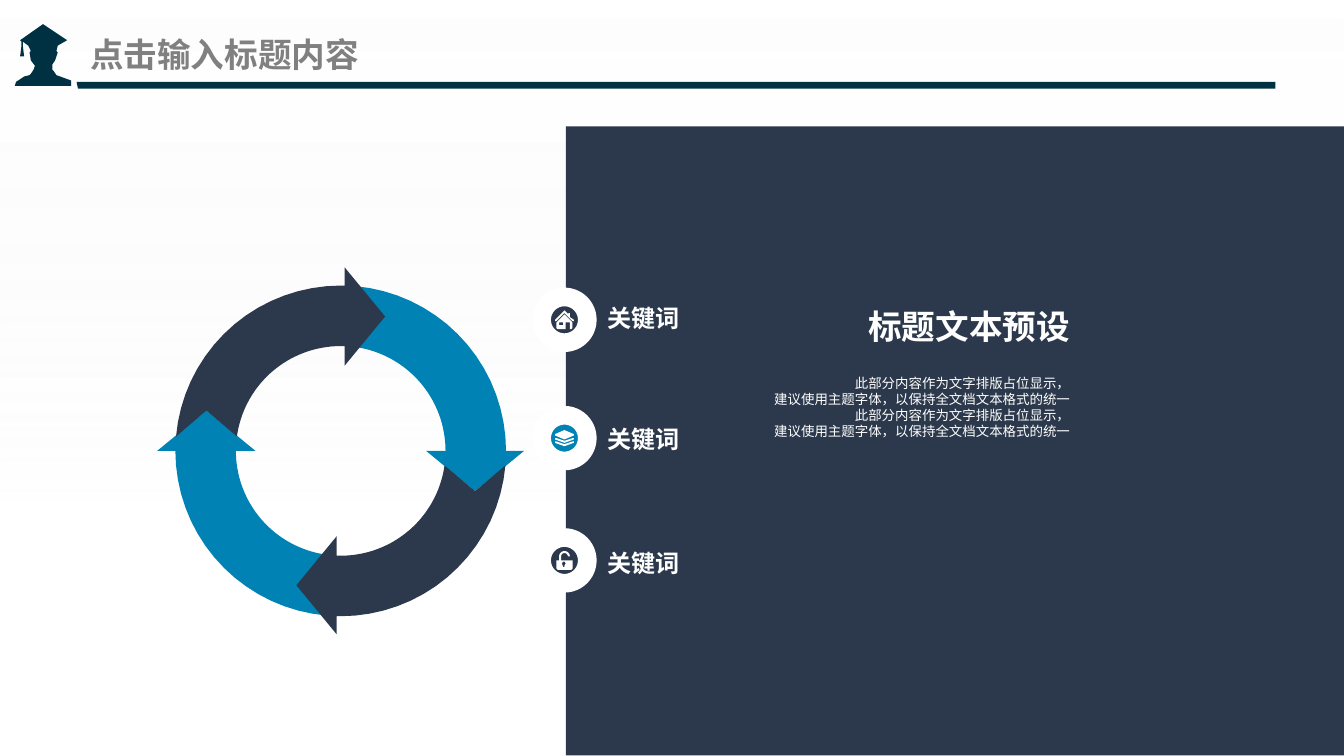
from math import cos, radians, sin

from lxml.etree import SubElement
from pptx import Presentation
from pptx.dml.color import RGBColor
from pptx.enum.shapes import MSO_SHAPE as Preset
from pptx.enum.text import MSO_ANCHOR as Anchor, MSO_AUTO_SIZE as AutoSize, PP_ALIGN as Align
from pptx.oxml.ns import qn
from pptx.util import Inches, Pt

NAVY = RGBColor(0x2C, 0x39, 0x4C)
BLUE = RGBColor(0x00, 0x83, 0xB4)
TEAL = RGBColor(0x00, 0x31, 0x42)
GRAY = RGBColor(0x80, 0x80, 0x80)
PALE = RGBColor(0xF2, 0xF2, 0xF2)
WHITE = RGBColor(0xFF, 0xFF, 0xFF)
CJK_FONT = "Noto Sans CJK SC"

presentation = Presentation()
presentation.slide_width = Inches(10)
presentation.slide_height = Inches(5.625)
slide = presentation.slides.add_slide(presentation.slide_layouts[5])
shapes = slide.shapes


def draw_outline(contours, color):
    builder = None
    for contour in contours:
        points = [(Inches(x), Inches(y)) for x, y in contour]
        if builder is None:
            builder = shapes.build_freeform(*points[0], scale=1.0)
        else:
            builder.move_to(*points[0])
        builder.add_line_segments(points[1:], close=True)
    shape = builder.convert_to_shape()
    shape.shadow.inherit = False
    shape.fill.solid()
    shape.fill.fore_color.rgb = color
    shape.line.fill.background()


def add_run(paragraph, text, size, color, bold=False, font_name="Arial"):
    run = paragraph.add_run()
    run.text = text
    font = run.font
    font.size = Pt(size)
    font.bold = bold
    font.color.rgb = color
    font.name = font_name
    SubElement(run._r.get_or_add_rPr(), qn("a:ea"), typeface=CJK_FONT)


background = shapes.add_shape(Preset.RECTANGLE, 0, 0, Inches(10), Inches(5.625))
background.shadow.inherit = False
background.line.fill.background()
background.fill.gradient()
background.fill.gradient_angle = 270
for stop, position, color in zip(background.fill.gradient_stops, (0, 0.71), (WHITE, PALE)):
    stop.position = position
    stop.color.rgb = color
for color_node, alpha in zip(background._element.iter(qn("a:srgbClr")), ("55000", "0")):
    SubElement(color_node, qn("a:alpha"), val=alpha)
shapes._spTree.insert(2, background._element)

title = shapes.title
title.left, title.top, title.width, title.height = (Inches(v) for v in (0.67, 0.19, 2.33, 0.42))
frame = title.text_frame
frame.auto_size = AutoSize.NONE
frame.vertical_anchor = Anchor.MIDDLE
frame.margin_left = frame.margin_right = 0
frame.paragraphs[0].alignment = Align.LEFT
add_run(frame.paragraphs[0], "点击输入标题内容", 18, GRAY, True, CJK_FONT)

draw_outline([[(0.57, 0.61), (9.49, 0.61), (9.49, 0.66), (0.58, 0.66)]], TEAL)

graduate = [
    (0.53, 0.6), (0.42, 0.56), (0.4, 0.53), (0.39, 0.52), (0.39, 0.48), (0.41, 0.45),
    (0.43, 0.39), (0.42, 0.38), (0.43, 0.34), (0.5, 0.3), (0.32, 0.18), (0.15, 0.3),
    (0.16, 0.31), (0.16, 0.34), (0.15, 0.42), (0.18, 0.42), (0.17, 0.34), (0.17, 0.31),
    (0.21, 0.34), (0.23, 0.38), (0.22, 0.39), (0.23, 0.45), (0.26, 0.49), (0.25, 0.52),
    (0.23, 0.55), (0.22, 0.56), (0.18, 0.57), (0.12, 0.61), (0.11, 0.64), (0.53, 0.64),
]
draw_outline([graduate], TEAL)

panel = shapes.add_shape(Preset.RECTANGLE, Inches(4.21), Inches(0.94), Inches(5.79), Inches(4.68))
panel.shadow.inherit = False
panel.fill.solid()
panel.fill.fore_color.rgb = NAVY
panel.line.fill.background()

for label_top, circle_top, color in ((2.21, 2.21, NAVY), (3.11, 3.09, BLUE), (4.03, 4, NAVY)):
    label = shapes.add_textbox(Inches(4.42), Inches(label_top), Inches(1.1), Inches(0.3))
    label.text_frame.word_wrap = True
    add_run(label.text_frame.paragraphs[0], "关键词", 12.9, WHITE, True)
    circle = shapes.add_shape(Preset.OVAL, Inches(4.03), Inches(circle_top), Inches(0.34), Inches(0.34))
    circle.shadow.inherit = False
    circle.fill.solid()
    circle.fill.fore_color.rgb = color
    circle.line.color.rgb = WHITE
    circle.line.width = Pt(10)

house_roof = [
    (4.13, 2.38), (4.2, 2.31), (4.23, 2.34), (4.23, 2.33), (4.24, 2.33), (4.24, 2.36),
    (4.27, 2.38), (4.27, 2.39), (4.26, 2.39), (4.2, 2.33), (4.14, 2.39), (4.13, 2.39),
]
house_walls = [
    (4.14, 2.4), (4.2, 2.34), (4.26, 2.4), (4.26, 2.44), (4.25, 2.45), (4.24, 2.45),
    (4.24, 2.4), (4.21, 2.4), (4.21, 2.45), (4.15, 2.45), (4.14, 2.44),
]
house_window = [(4.16, 2.4), (4.19, 2.4), (4.19, 2.42), (4.16, 2.42)]
draw_outline([house_roof, house_walls, house_window], WHITE)

layers = [[(4.13, 3.23), (4.2, 3.2), (4.27, 3.23), (4.27, 3.24), (4.2, 3.27), (4.13, 3.24)]]
for top in (3.26, 3.285):
    layers.append([
        (4.13, top), (4.14, top), (4.2, top + 0.02), (4.26, top), (4.27, top),
        (4.27, top + 0.01), (4.2, top + 0.035), (4.13, top + 0.01),
    ])
draw_outline(layers, WHITE)

shackle = [
    (4.2 + radius * cos(radians(angle)), 4.14 - radius * sin(radians(angle)))
    for radius, angles in ((0.04, range(180, -1, -20)), (0.025, range(0, 181, 20)))
    for angle in angles
]
lock_body = [(4.14, 4.17), (4.26, 4.17), (4.26, 4.23), (4.25, 4.24), (4.15, 4.24), (4.14, 4.23)]
keyhole = [(4.19, 4.18), (4.2, 4.18), (4.21, 4.19), (4.2, 4.21), (4.2, 4.22), (4.19, 4.22), (4.18, 4.19)]
draw_outline([shackle + [(4.175, 4.17), (4.16, 4.17)], lock_body, keyhole], WHITE)

center_x, center_y = 2.535, 3.355
for quarter, color, lead in ((0, BLUE, 0), (2, BLUE, 0), (1, NAVY, 0.03), (3, NAVY, 0.03)):
    outer = [(1.23 * cos(radians(a)), 1.23 * sin(radians(a))) for a in range(-85, 1, 5)]
    inner = [(0.78 * cos(radians(a)), 0.78 * sin(radians(a))) for a in range(0, -83, -2)]
    head = [(1.365, lead), (1, lead + 0.3), (0.635, lead)]
    arrow = outer + [(1.23, lead)] + head + [(0.78, lead)] + inner + [(0.3, -1)]
    turn_cos, turn_sin = cos(radians(90 * quarter)), sin(radians(90 * quarter))
    draw_outline([[
        (center_x + x * turn_cos - y * turn_sin, center_y + x * turn_sin + y * turn_cos)
        for x, y in arrow
    ]], color)

heading = shapes.add_textbox(Inches(5.5), Inches(2.21), Inches(2.46), Inches(0.44))
description = shapes.add_textbox(Inches(5.47), Inches(2.71), Inches(2.49), Inches(0.76))
for box in (heading, description):
    frame = box.text_frame
    frame.word_wrap = True
    frame.margin_left = frame.margin_right = frame.margin_top = frame.margin_bottom = 0
    frame.paragraphs[0].alignment = Align.RIGHT
heading.text_frame.vertical_anchor = Anchor.MIDDLE
add_run(heading.text_frame.paragraphs[0], "标题文本预设", 18, WHITE, True)

description.text_frame.margin_top = Inches(0.08)
paragraph = description.text_frame.paragraphs[0]
paragraph.line_spacing = Pt(8.6)
sentences = ("此部分内容作为文字排版占位显示，", "建议使用主题字体，以保持全文档文本格式的统一") * 2
for index, sentence in enumerate(sentences):
    if index:
        paragraph.add_line_break()
    add_run(paragraph, sentence, 7.2, WHITE)

presentation.save("out.pptx")
